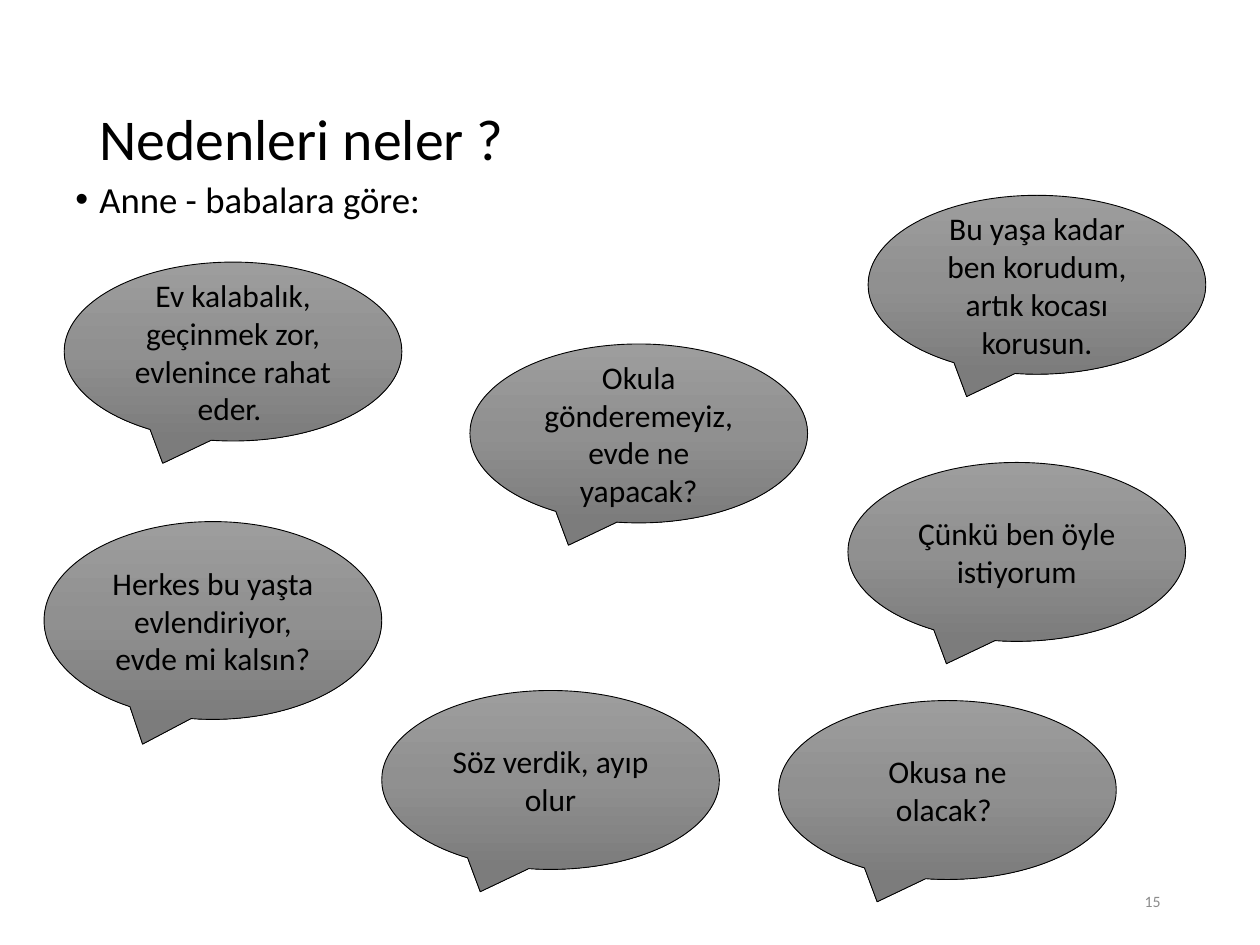
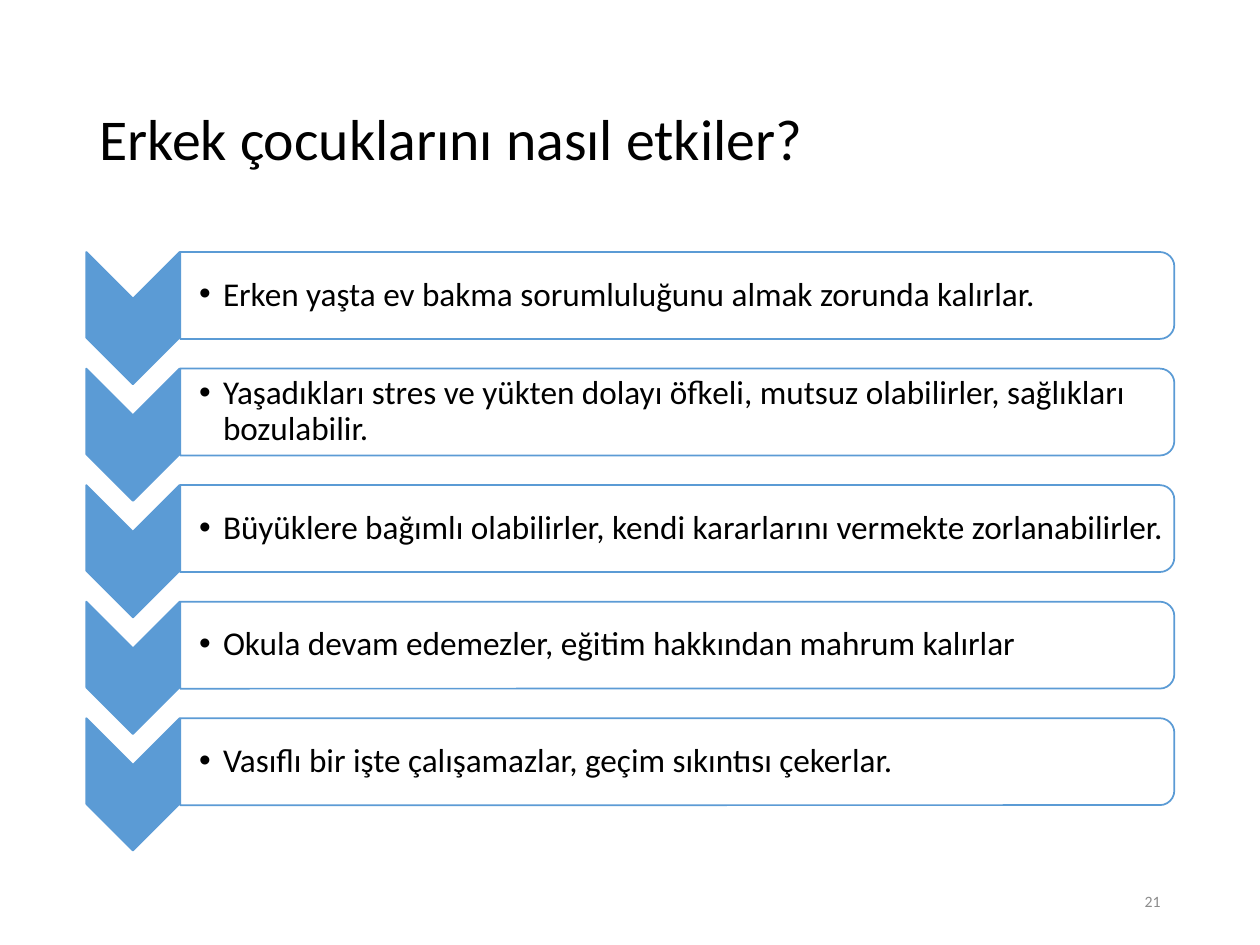
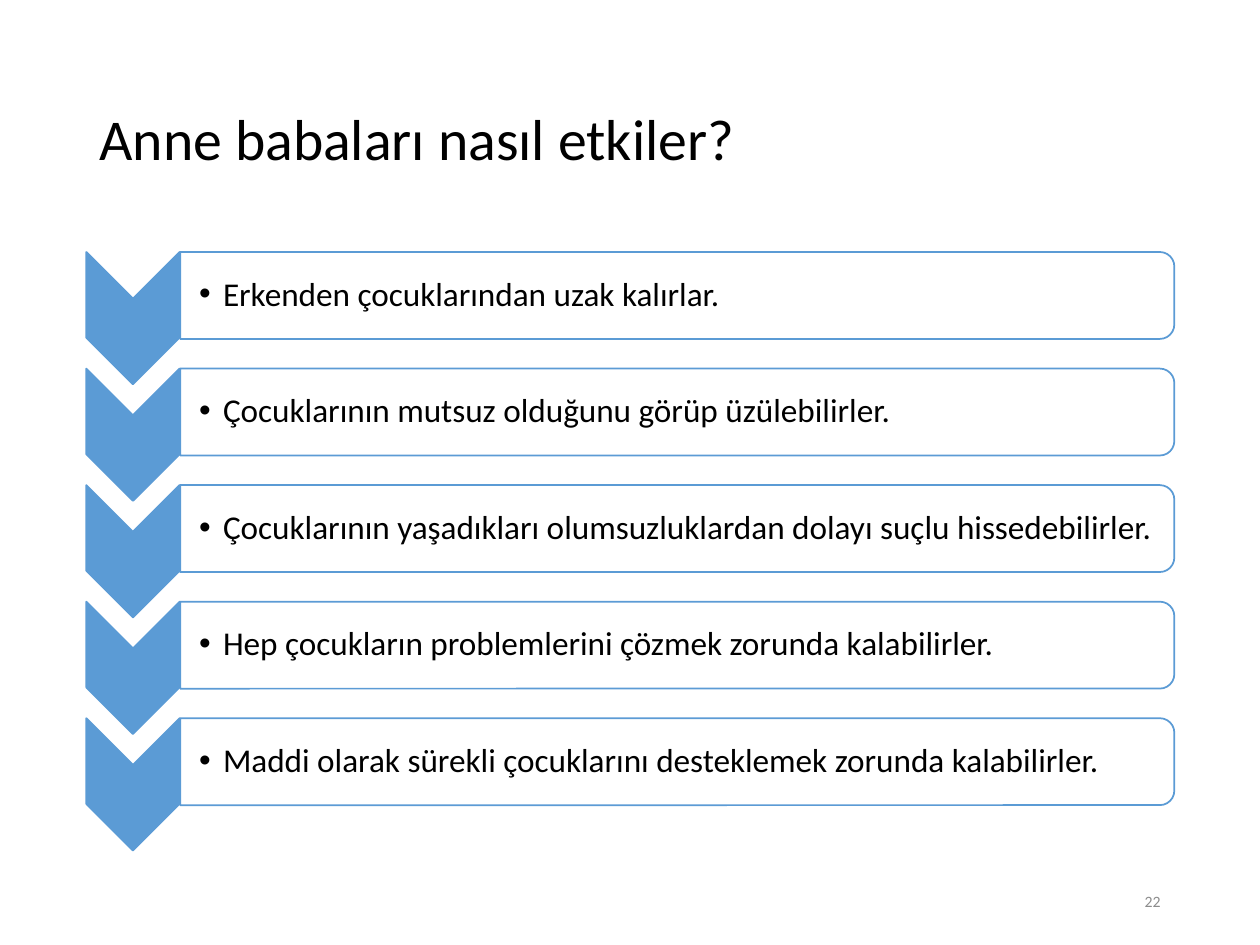
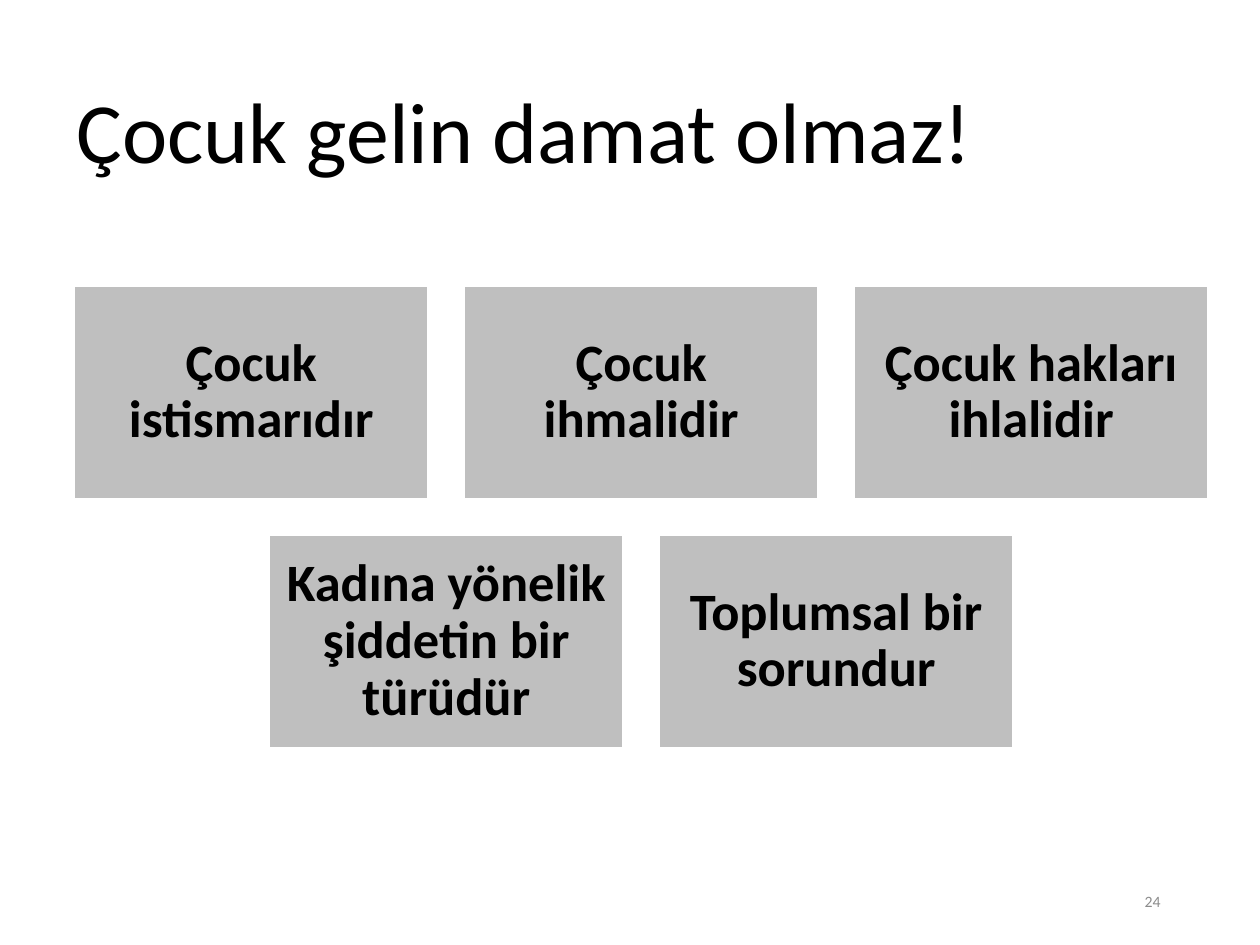
"""Build four slides on the causes and effects of child marriage."""
from copy import deepcopy
from dataclasses import dataclass
from typing import Optional

from lxml import etree
from pptx import Presentation
from pptx.dml import color as dml
from pptx.enum import shapes, text
from pptx.oxml import ns
from pptx import util as u

WIDTH, HEIGHT = u.Inches(10), u.Inches(7.5)
COLUMNS, ROWS = 100, 75
COLUMN, ROW = WIDTH / COLUMNS, HEIGHT / ROWS


@dataclass(frozen=True)
class Theme:
    """Colours and type sizes shared by all slides."""
    font: str = "Calibri"
    ink: str = "000000"
    paper: str = "FFFFFF"
    accent: str = "5B9BD5"
    card: str = "BFBFBF"
    muted: str = "8C8C8C"
    bubble: tuple = ((0, "9D9D9D"), (0.5, "909090"), (1, "7C7C7C"))
    title: int = 33
    closing: int = 49
    lead: int = 21
    speech: int = 18
    item: int = 19
    statement: int = 30
    footer: int = 9


THEME = Theme()


@dataclass(frozen=True)
class Box:
    """Place and size in grid columns and rows."""
    left: float
    top: float
    width: float
    height: float

    def emu(self) -> tuple:
        """Return left, top, width and height in slide units."""
        return (u.Emu(round(self.left * COLUMN)), u.Emu(round(self.top * ROW)),
                u.Emu(round(self.width * COLUMN)), u.Emu(round(self.height * ROW)))

    def turned(self) -> "Box":
        """Return the box that covers this one after a quarter turn."""
        shift = (self.width - self.height) / 2
        return Box(self.left + shift, self.top - shift, self.height, self.width)


@dataclass(frozen=True)
class Style:
    """Look of one text block."""
    size: int
    color: str = THEME.ink
    bold: bool = False
    align: text.PP_ALIGN = text.PP_ALIGN.LEFT
    anchor: text.MSO_ANCHOR = text.MSO_ANCHOR.MIDDLE
    line_spacing: Optional[float] = None
    space_before: float = 0
    bullet: bool = False
    insets: tuple = (1, 0.5, 1, 0.5)


@dataclass(frozen=True)
class Bubble:
    """A speech bubble and its words."""
    words: str
    left: float
    top: float
    height: float = 14.2


@dataclass(frozen=True)
class EffectSlide:
    """A slide with a chevron list."""
    title: str
    number: int
    items: tuple


TITLE_BOX = Box(6.9, 4, 86.2, 14.5)
LEAD_BOX = Box(5, 13.9, 90, 53.1)
CLOSING_BOX = Box(5.1, 1.3, 90, 14)
NUMBER_BOX = Box(70.6, 69.5, 22.5, 4)
BUBBLE_WIDTH = 26.8
LIST_TOP, LIST_PITCH = 20, 9.25
CARD_WIDTH, CARD_HEIGHT, CARD_GAP = 28.1, 16.9, 2.85
CARDS_TOP, CARDS_MIDDLE = 22.7, 50.9

TITLE = Style(THEME.title, line_spacing=0.9)
CLOSING = Style(THEME.closing, line_spacing=0.9, insets=(1, 5.4, 1, 0.5))
LEAD = Style(THEME.lead, anchor=text.MSO_ANCHOR.TOP, line_spacing=0.9,
             space_before=7.5, bullet=True)
SPEECH = Style(THEME.speech, align=text.PP_ALIGN.CENTER)
ITEM = Style(THEME.item, line_spacing=0.9, bullet=True, insets=(1.5, 0.1, 0.1, 0.1))
STATEMENT = Style(THEME.statement, bold=True, align=text.PP_ALIGN.CENTER,
                  line_spacing=0.9, insets=(1.2,) * 4)
NUMBER = Style(THEME.footer, THEME.muted, align=text.PP_ALIGN.RIGHT)

BUBBLES = (
    Bubble("Ev kalabalık, geçinmek zor, evlenince rahat eder. ", 5.1, 20.8),
    Bubble("Okula gönderemeyiz, evde ne yapacak?", 37.3, 27.3),
    Bubble("Bu yaşa kadar ben korudum, artık kocası korusun.", 68.9, 15.5),
    Bubble("Herkes bu yaşta evlendiriyor, evde mi kalsın?", 3.5, 41.4, 15.7),
    Bubble("Çünkü ben öyle istiyorum", 67.3, 36.7),
    Bubble("Söz verdik, ayıp olur", 30.3, 54.8),
    Bubble("Okusa ne olacak? ", 61.8, 55.6),
)
EFFECTS = (
    EffectSlide("Erkek çocuklarını nasıl etkiler?", 21, (
        "Erken yaşta ev bakma sorumluluğunu almak zorunda kalırlar.",
        "Yaşadıkları stres ve yükten dolayı öfkeli, mutsuz olabilirler, sağlıkları bozulabilir.",
        "Büyüklere bağımlı olabilirler, kendi kararlarını vermekte zorlanabilirler.",
        "Okula devam edemezler, eğitim hakkından mahrum kalırlar",
        "Vasıflı bir işte çalışamazlar, geçim sıkıntısı çekerlar.")),
    EffectSlide("Anne babaları nasıl etkiler?", 22, (
        "Erkenden çocuklarından uzak kalırlar.",
        "Çocuklarının mutsuz olduğunu görüp üzülebilirler.",
        "Çocuklarının yaşadıkları olumsuzluklardan dolayı suçlu hissedebilirler.",
        "Hep çocukların problemlerini çözmek zorunda kalabilirler.",
        "Maddi olarak sürekli çocuklarını desteklemek zorunda kalabilirler.")),
)
STATEMENT_ROWS = (
    ("Çocuk istismarıdır", "Çocuk ihmalidir", "Çocuk hakları ihlalidir"),
    ("Kadına yönelik şiddetin bir türüdür", "Toplumsal bir sorundur"),
)


def rgb(value: str) -> dml.RGBColor:
    """Turn a hex string into a colour."""
    return dml.RGBColor.from_string(value)


def write(shape, words: str, style: Style) -> None:
    """Write one styled paragraph into a shape."""
    frame = shape.text_frame
    frame.word_wrap = True
    frame.vertical_anchor = style.anchor
    left, top, right, bottom = style.insets
    frame.margin_left, frame.margin_right = (u.Emu(round(side * COLUMN)) for side in (left, right))
    frame.margin_top, frame.margin_bottom = (u.Emu(round(side * ROW)) for side in (top, bottom))
    paragraph = frame.paragraphs[0]
    paragraph.alignment = style.align
    paragraph.line_spacing = style.line_spacing
    paragraph.space_before = u.Pt(style.space_before)
    if style.bullet:
        properties = paragraph._p.get_or_add_pPr()
        indent = u.Inches(0.19)
        properties.set("marL", str(indent))
        properties.set("indent", str(-indent))
        etree.SubElement(properties, ns.qn("a:buFont")).set("typeface", "Arial")
        etree.SubElement(properties, ns.qn("a:buChar")).set("char", "•")
    run = paragraph.add_run()
    run.text = words
    run.font.name = THEME.font
    run.font.size = u.Pt(style.size)
    run.font.bold = style.bold
    run.font.color.rgb = rgb(style.color)


def add_text(slide, box: Box, words: str, style: Style) -> None:
    """Add a text box."""
    write(slide.shapes.add_textbox(*box.emu()), words, style)


def add_shape(slide, kind: shapes.MSO_SHAPE, box: Box, line: str,
              line_width: float = 1, fill: Optional[str] = None):
    """Add a preset shape without shadow."""
    shape = slide.shapes.add_shape(kind, *box.emu())
    shape.shadow.inherit = False
    shape.line.color.rgb = rgb(line)
    shape.line.width = u.Pt(line_width)
    if fill:
        shape.fill.solid()
        shape.fill.fore_color.rgb = rgb(fill)
    return shape


def add_bubble(slide, bubble: Bubble) -> None:
    """Add a speech bubble with a vertical gradient."""
    box = Box(bubble.left, bubble.top, BUBBLE_WIDTH, bubble.height)
    shape = add_shape(slide, shapes.MSO_SHAPE.OVAL_CALLOUT, box, THEME.ink, 0.5)
    shape.fill.gradient()
    shape.fill.gradient_angle = 270
    stop_list = shape._element.spPr.find(ns.qn("a:gradFill")).find(ns.qn("a:gsLst"))
    stop_list.append(deepcopy(stop_list[-1]))
    for stop, (position, value) in zip(shape.fill.gradient_stops, THEME.bubble):
        stop.position = position
        stop.color.rgb = rgb(value)
    write(shape, bubble.words, SPEECH)


def add_list_row(slide, index: int, words: str) -> None:
    """Add a downward chevron and the bar beside it."""
    top = LIST_TOP + index * LIST_PITCH
    chevron = add_shape(slide, shapes.MSO_SHAPE.CHEVRON, Box(6.85, top, 7.4, 10.5).turned(),
                        THEME.accent, fill=THEME.accent)
    bar = add_shape(slide, shapes.MSO_SHAPE.ROUND_2_SAME_RECTANGLE,
                    Box(14.3, top, 78.9, 6.9).turned(), THEME.accent, fill=THEME.paper)
    chevron.rotation = bar.rotation = 90
    paint = bar._element.spPr.find(ns.qn("a:solidFill"))[0]
    etree.SubElement(paint, ns.qn("a:alpha")).set("val", "90000")
    add_text(slide, Box(14.3, top + 0.35, 78.5, 6.2), words, ITEM)


def add_card_row(slide, index: int, statements: tuple) -> None:
    """Add a centred row of statement cards."""
    pitch = CARD_WIDTH + CARD_GAP
    left = CARDS_MIDDLE - (len(statements) * pitch - CARD_GAP) / 2
    top = CARDS_TOP + index * (CARD_HEIGHT + CARD_GAP)
    for column, words in enumerate(statements):
        box = Box(left + column * pitch, top, CARD_WIDTH, CARD_HEIGHT)
        card = add_shape(slide, shapes.MSO_SHAPE.RECTANGLE, box, THEME.paper, fill=THEME.card)
        write(card, words, STATEMENT)


def add_slide(presentation, title: str, number: int, box: Box = TITLE_BOX, style: Style = TITLE):
    """Add a blank slide with its title and number."""
    slide = presentation.slides.add_slide(presentation.slide_layouts[6])
    add_text(slide, box, title, style)
    add_text(slide, NUMBER_BOX, str(number), NUMBER)
    return slide


def main() -> None:
    """Build and save the presentation."""
    presentation = Presentation()
    presentation.slide_width, presentation.slide_height = WIDTH, HEIGHT

    causes = add_slide(presentation, "Nedenleri neler ?", 15)
    add_text(causes, LEAD_BOX, "Anne - babalara göre:", LEAD)
    for bubble in BUBBLES:
        add_bubble(causes, bubble)

    for effect in EFFECTS:
        slide = add_slide(presentation, effect.title, effect.number)
        for index, words in enumerate(effect.items):
            add_list_row(slide, index, words)

    closing = add_slide(presentation, "Çocuk gelin damat olmaz!", 24, CLOSING_BOX, CLOSING)
    for index, statements in enumerate(STATEMENT_ROWS):
        add_card_row(closing, index, statements)

    presentation.save("out.pptx")


if __name__ == "__main__":
    main()
